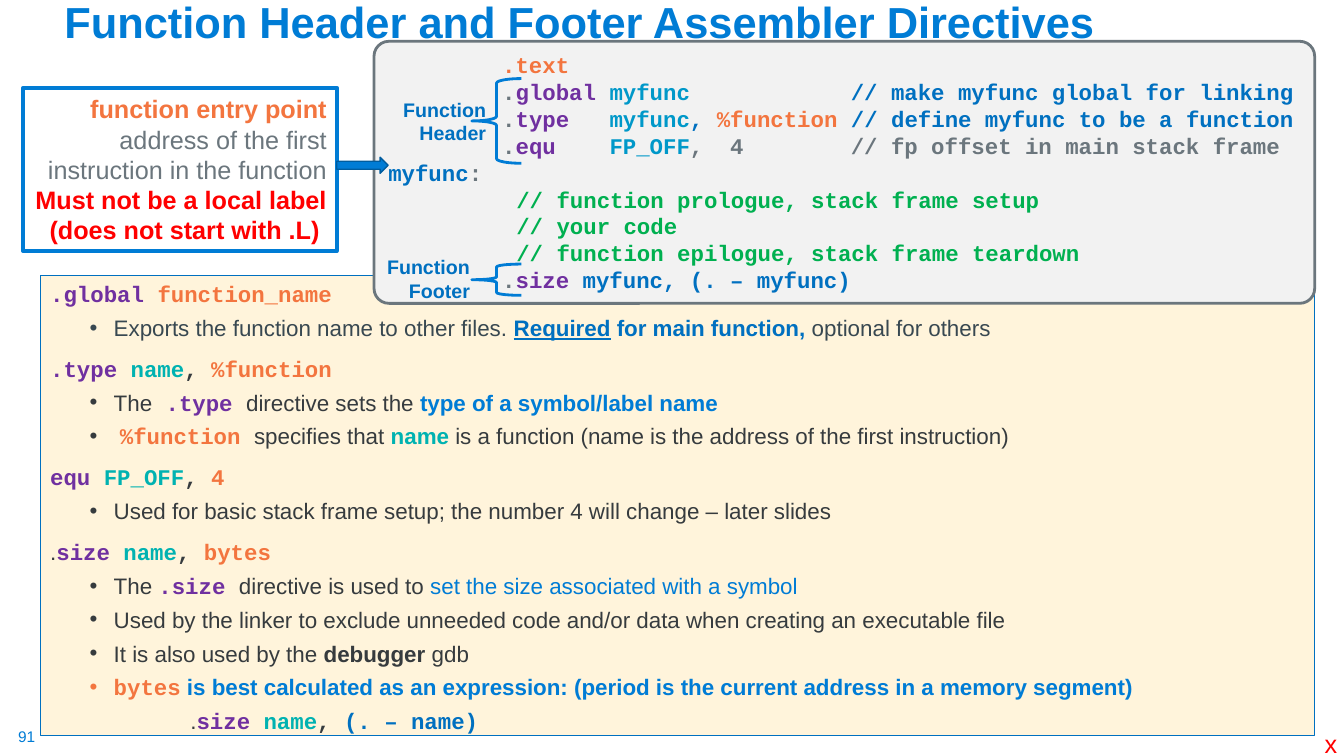
"""Build the slide on function header and footer assembler directives."""
from dataclasses import dataclass

from lxml import etree
from pptx import Presentation
from pptx.dml.color import RGBColor
from pptx.enum.shapes import MSO_SHAPE
from pptx.enum.text import MSO_ANCHOR, PP_ALIGN
from pptx.oxml.ns import qn
from pptx.util import Inches, Pt

RECTANGLE = MSO_SHAPE.RECTANGLE
ROUNDED = MSO_SHAPE.ROUNDED_RECTANGLE
ARROW = MSO_SHAPE.RIGHT_ARROW
BRACE = MSO_SHAPE.LEFT_BRACE
LEFT, RIGHT = PP_ALIGN.LEFT, PP_ALIGN.RIGHT
TOP, MIDDLE, BOTTOM = MSO_ANCHOR.TOP, MSO_ANCHOR.MIDDLE, MSO_ANCHOR.BOTTOM

SANS, MONO = "Arial", "Courier New"
BLUE, DEEP_BLUE, CYAN, TEAL = "007CD5", "0070C0", "0098C9", "00B2B1"
PURPLE, ORANGE, GREEN, RED = "7030A0", "F3753F", "00B050", "FF0000"
GRAY, DARK, SLATE = "6B767D", "363B3E", "384851"


@dataclass(frozen=True)
class Run:
    text: str
    color: str = DARK
    bold: bool = False
    font: str = SANS
    underline: bool = False


@dataclass(frozen=True)
class Line:
    runs: tuple[Run, ...]
    before: float = 0
    margin: float = 0
    bullet: bool = False


@dataclass(frozen=True)
class Outline:
    kind: int
    box: tuple[float, float, float, float]
    line: str
    weight: float
    fill: str | None = None
    adjustments: tuple[float, ...] = ()


@dataclass(frozen=True)
class Label:
    text: str
    box: tuple[float, float, float, float]
    size: float
    color: str
    bold: bool = False
    align: int = LEFT
    anchor: int = TOP
    spacing: float = 1.2
    exact: bool = True
    inset: bool = True
    wrap: bool = True


def code(text: str, color: str) -> Run:
    """Return a bold monospaced run."""
    return Run(text, color, True, MONO)


def heading(*runs: Run, first: bool = False) -> Line:
    """Return a directive heading."""
    return Line(runs, before=0 if first else 10)


def bullet(*runs: Run) -> Line:
    """Return a bulleted explanation."""
    return Line(runs, before=5, margin=0.63, bullet=True)


def listing(*runs: Run, margin: float = 1.13) -> Line:
    """Return an indented line of the code listing."""
    return Line(runs, margin=margin)


DIRECTIVES = (
    heading(code(".global ", PURPLE), code("function_name", ORANGE), first=True),
    bullet(Run("Exports the function name to other files. ", SLATE),
           Run("Required", DEEP_BLUE, True, underline=True),
           Run(" for main function, ", DEEP_BLUE, True), Run("optional for others", SLATE)),
    heading(code(".type ", PURPLE), code("name", TEAL), code(", ", DARK),
            code("%function", ORANGE)),
    bullet(Run("The"), code(" .type ", PURPLE), Run("directive sets the "),
           Run("type of a symbol/label name", BLUE, True)),
    bullet(Run(" "), code("%function ", ORANGE), Run("specifies that "), Run("name", TEAL, True),
           Run(" is a function (name is the address of the first instruction)")),
    heading(code("equ ", PURPLE), code("FP_OFF", TEAL), code(", ", DARK), code("4", ORANGE)),
    bullet(Run("Used for basic stack frame setup; the number 4 will change – later slides")),
    heading(Run("."), code("size ", PURPLE), code("name", TEAL), code(", ", DARK),
            code("bytes", ORANGE)),
    bullet(Run("The "), code(".size ", PURPLE), Run("directive is used to "),
           Run("set the size associated with a symbol", BLUE)),
    bullet(Run("Used by the linker to exclude unneeded code and/or data "
               "when creating an executable file")),
    bullet(Run("It is also used by the "), Run("debugger ", bold=True), Run("gdb")),
    bullet(code("bytes", ORANGE), Run(" is best calculated as an expression: (period is the "
                                      "current address in a memory segment)", BLUE, True)),
    Line((Run("."), code("size ", PURPLE), code("name", TEAL), code(", ", DARK),
          code("(. – name)", DEEP_BLUE)), before=5, margin=1.39),
)
LISTING = (
    listing(code(".text", ORANGE)),
    listing(code(".", GRAY), code("global ", PURPLE), code("myfunc", CYAN),
            code("            // make myfunc global for linking", DEEP_BLUE)),
    listing(code(".", GRAY), code("type   ", PURPLE), code("myfunc", CYAN),
            code(", ", DEEP_BLUE), code("%function ", ORANGE),
            code("// define myfunc to be a function", DEEP_BLUE)),
    listing(code(".", GRAY), code("equ    ", PURPLE), code("FP_OFF", CYAN),
            code(",  4        // fp offset in main stack frame", GRAY)),
    listing(code("myfunc", DEEP_BLUE), code(":", GRAY), margin=0),
    *(listing(code(f"// {comment}", GREEN), margin=1.27) for comment in (
        "function prologue, stack frame setup", "your code",
        "function epilogue, stack frame teardown")),
    listing(code(".", GRAY), code("size ", PURPLE), code("myfunc, (. – myfunc)", DEEP_BLUE)),
)
ENTRY_POINT = (
    Line((Run("function entry point", ORANGE, True),)),
    Line((Run("address of the first instruction in the function", GRAY),)),
    Line((Run("Must not be a local label (does not start with .L) ", RED, True),)),
)
DIRECTIVE_PANEL = Outline(RECTANGLE, (0.4, 2.73, 12.64, 4.57), DEEP_BLUE, 0.75, "FFF4DB")
LISTING_PANEL = Outline(ROUNDED, (3.71, 0.41, 9.33, 2.6), GRAY, 2, "F2F2F2", (0.057,))
ENTRY_PANEL = Outline(RECTANGLE, (0.23, 0.87, 3.11, 1.62), BLUE, 2.75)
MARKERS = (
    Outline(ARROW, (3.34, 1.56, 0.51, 0.16), "005C9E", 1, BLUE),
    Outline(BRACE, (4.68, 0.78, 0.49, 0.84), BLUE, 2, None, (0.091, 0.5)),
    Outline(BRACE, (4.68, 2.62, 0.49, 0.31), BLUE, 2, None, (0.091, 0.5)),
)
TITLE = Label("Function Header and Footer Assembler Directives", (0.54, 0, 11.5, 0.52), 31, BLUE,
              True, anchor=BOTTOM, spacing=0.9, exact=False)
LABELS = (
    Label("91", (0.18, 7.21, 0.19, 0.19), 11, BLUE, inset=False, wrap=False),
    Label("Function Header", (3.85, 0.92, 1.07, 0.57), 14, DEEP_BLUE, True, RIGHT),
    Label("Function Footer", (3.69, 2.48, 1.07, 0.57), 14, DEEP_BLUE, True, RIGHT),
    Label("x", (13.04, 7.18, 0.29, 0.32), 18, RED, wrap=False),
)


def rgb(value: str) -> RGBColor:
    """Convert a hex string to a colour."""
    return RGBColor.from_string(value)


def add_run(paragraph, text: str, *, size: float, color: str, bold: bool = False,
            font: str = SANS, underline: bool = False) -> None:
    """Append formatted text to a paragraph."""
    run = paragraph.add_run()
    run.text = text
    run.font.name, run.font.size = font, Pt(size)
    run.font.bold, run.font.underline = bold, underline
    run.font.color.rgb = rgb(color)


def write_lines(shape, lines: tuple[Line, ...], size: float, align: int, anchor: int) -> None:
    """Fill a shape with formatted lines."""
    frame = shape.text_frame
    frame.word_wrap, frame.vertical_anchor = True, anchor
    for index, line in enumerate(lines):
        paragraph = frame.add_paragraph() if index else frame.paragraphs[0]
        properties = paragraph._p.get_or_add_pPr()
        properties.set("marL", str(Inches(line.margin)))
        properties.set("indent", str(Inches(-0.24 if line.bullet else 0)))
        if line.bullet:
            etree.SubElement(properties, qn("a:buFont"), typeface=SANS)
            etree.SubElement(properties, qn("a:buChar"), char="•")
        paragraph.alignment = align
        paragraph.line_spacing, paragraph.space_before = Pt(1.2 * size), Pt(line.before)
        for run in line.runs:
            add_run(paragraph, run.text, size=size, color=run.color, bold=run.bold,
                    font=run.font, underline=run.underline)


def draw_outline(slide, outline: Outline):
    """Draw a preset shape and return it."""
    shape = slide.shapes.add_shape(outline.kind, *map(Inches, outline.box))
    shape.shadow.inherit = False
    for index, value in enumerate(outline.adjustments):
        shape.adjustments[index] = value
    if outline.fill:
        shape.fill.solid()
        shape.fill.fore_color.rgb = rgb(outline.fill)
    else:
        shape.fill.background()
    shape.line.color.rgb, shape.line.width = rgb(outline.line), Pt(outline.weight)
    return shape


def draw_label(slide, label: Label) -> None:
    """Draw a single-paragraph text box."""
    frame = slide.shapes.add_textbox(*map(Inches, label.box)).text_frame
    frame.word_wrap, frame.vertical_anchor = label.wrap, label.anchor
    if not label.inset:
        frame.margin_left = frame.margin_right = frame.margin_top = frame.margin_bottom = 0
    paragraph = frame.paragraphs[0]
    paragraph.alignment = label.align
    paragraph.line_spacing = Pt(label.spacing * label.size) if label.exact else label.spacing
    add_run(paragraph, label.text, size=label.size, color=label.color, bold=label.bold)


def main() -> None:
    """Build and save the presentation."""
    presentation = Presentation()
    presentation.slide_width, presentation.slide_height = Inches(13.33), Inches(7.5)
    slide = presentation.slides.add_slide(presentation.slide_layouts[6])
    draw_label(slide, TITLE)
    write_lines(draw_outline(slide, DIRECTIVE_PANEL), DIRECTIVES, 16, LEFT, TOP)
    write_lines(draw_outline(slide, LISTING_PANEL), LISTING, 16, LEFT, MIDDLE)
    write_lines(draw_outline(slide, ENTRY_PANEL), ENTRY_POINT, 18, RIGHT, MIDDLE)
    for marker in MARKERS:
        draw_outline(slide, marker)
    for label in LABELS:
        draw_label(slide, label)
    presentation.save("out.pptx")


if __name__ == "__main__":
    main()
